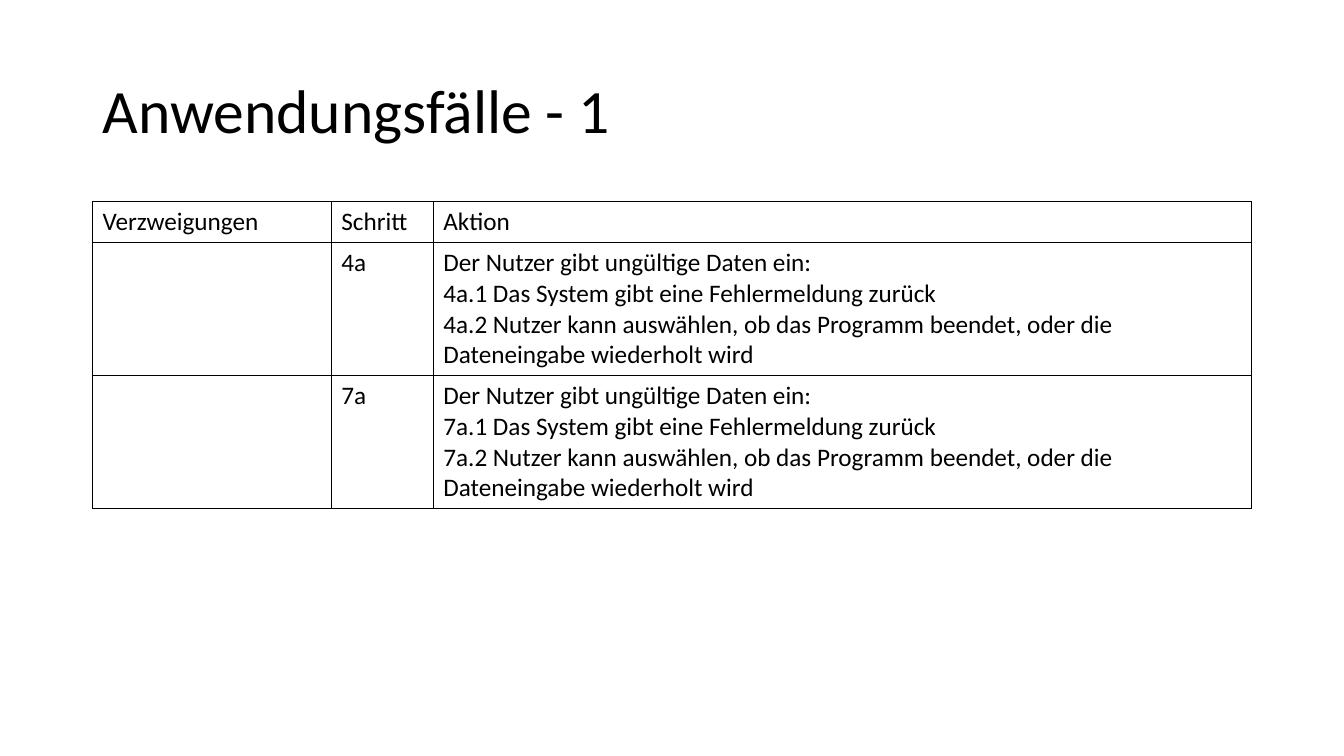
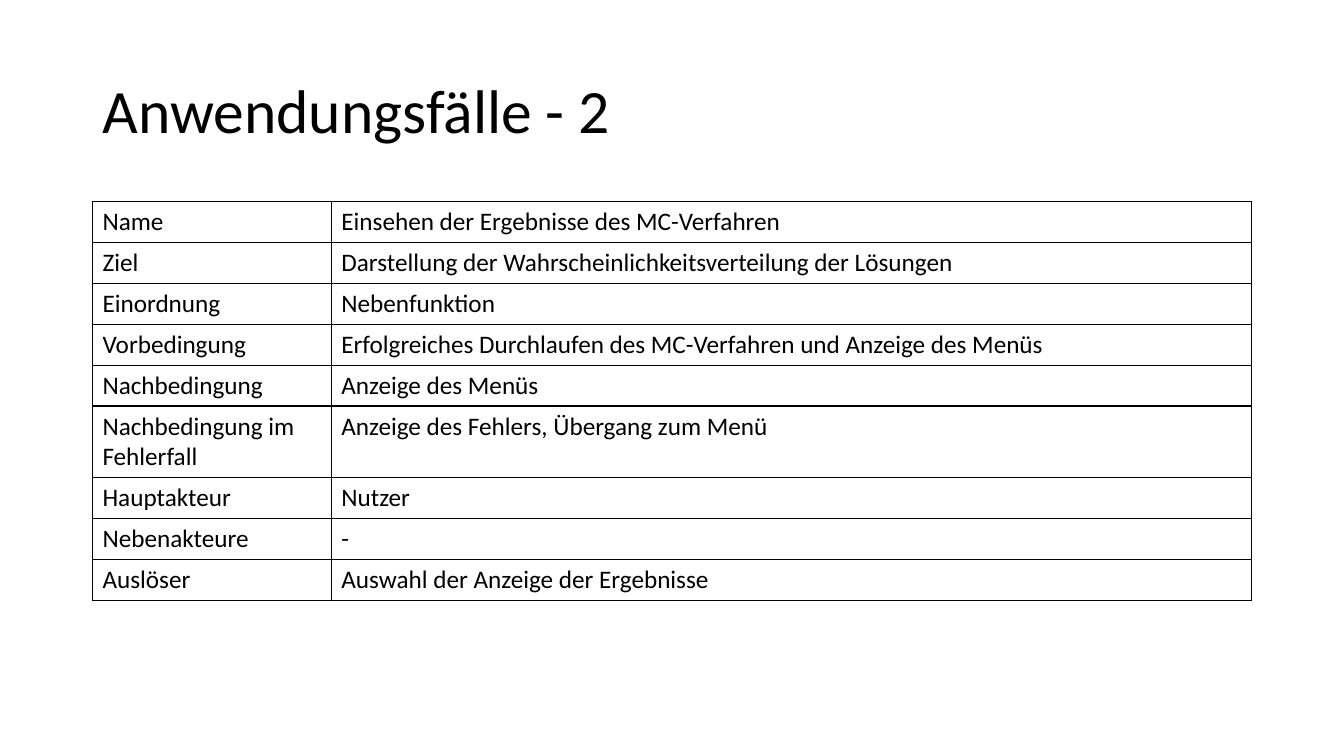
from lxml.etree import SubElement
from pptx import Presentation
from pptx.dml.color import RGBColor
from pptx.enum.text import MSO_ANCHOR, PP_ALIGN
from pptx.oxml.ns import qn
from pptx.util import Cm, Pt

FONT = "Calibri"
BLACK = "000000"
LEFT, WIDTH = 2.33, 29.21
TITLE_BOX = (LEFT, 1.01, WIDTH, 3.68)
TABLE_TOP = 5.08
ROW_HEIGHT = 1.03
LABEL_WIDTH, STEP_WIDTH = 6.02, 2.57

BRANCH_COLUMNS = [LABEL_WIDTH, STEP_WIDTH, WIDTH - LABEL_WIDTH - STEP_WIDTH]
USE_CASE_COLUMNS = [LABEL_WIDTH, WIDTH - LABEL_WIDTH]

USE_CASE = [
    ("Name", "Einsehen der Ergebnisse des MC-Verfahren"),
    ("Ziel", "Darstellung der Wahrscheinlichkeitsverteilung der Lösungen"),
    ("Einordnung", "Nebenfunktion"),
    ("Vorbedingung", "Erfolgreiches Durchlaufen des MC-Verfahren und Anzeige des Menüs"),
    ("Nachbedingung", "Anzeige des Menüs"),
    ("Nachbedingung im Fehlerfall", "Anzeige des Fehlers, Übergang zum Menü"),
    ("Hauptakteur", "Nutzer"),
    ("Nebenakteure", "-"),
    ("Auslöser", "Auswahl der Anzeige der Ergebnisse"),
]


def color(hex_value):
    return RGBColor.from_string(hex_value)


def style_paragraph(paragraph, size):
    paragraph.alignment = PP_ALIGN.LEFT
    paragraph.font.name = FONT
    paragraph.font.size = Pt(size)
    paragraph.font.color.rgb = color(BLACK)


def branch_row(step):
    """Row for invalid input at one step of the use case."""
    action = "\n".join([
        "Der Nutzer gibt ungültige Daten ein:",
        f"{step}.1 Das System gibt eine Fehlermeldung zurück",
        f"{step}.2 Nutzer kann auswählen, ob das Programm beendet, "
        "oder die Dateneingabe wiederholt wird",
    ])
    return "", step, action


def add_title(slide, text, box):
    title = slide.shapes.title
    title.left, title.top, title.width, title.height = map(Cm, box)
    frame = title.text_frame
    frame.text = text
    frame.vertical_anchor = MSO_ANCHOR.MIDDLE
    heading = frame.paragraphs[0]
    heading.line_spacing = 0.9
    style_paragraph(heading, 44)


def add_borders(cell):
    properties = cell._tc.get_or_add_tcPr()
    for side in ("a:lnL", "a:lnR", "a:lnT", "a:lnB"):
        line = SubElement(properties, qn(side), w=str(Pt(1)))
        fill = SubElement(line, qn("a:solidFill"))
        SubElement(fill, qn("a:srgbClr"), val=BLACK)


def add_grid(slide, rows, column_widths, left, top):
    """Plain bordered table; rows grow with their text."""
    table = slide.shapes.add_table(
        len(rows), len(column_widths), Cm(left), Cm(top),
        Cm(sum(column_widths)), Cm(ROW_HEIGHT * len(rows))).table
    table.first_row = table.horz_banding = False
    for column, width in zip(table.columns, column_widths):
        column.width = Cm(width)
    for row, texts in zip(table.rows, rows):
        row.height = Cm(ROW_HEIGHT)
        for cell, text in zip(row.cells, texts):
            add_borders(cell)
            cell.fill.background()
            cell.text = text
            for paragraph in cell.text_frame.paragraphs:
                style_paragraph(paragraph, 18)


def add_use_case_slide(presentation, number, rows, column_widths):
    slide = presentation.slides.add_slide(presentation.slide_layouts[5])
    add_title(slide, f"Anwendungsfälle - {number}", TITLE_BOX)
    add_grid(slide, rows, column_widths, LEFT, TABLE_TOP)


def main():
    presentation = Presentation()
    presentation.slide_width, presentation.slide_height = Cm(33.87), Cm(19.05)

    # Branches of the first use case
    branches = [("Verzweigungen", "Schritt", "Aktion"),
                branch_row("4a"), branch_row("7a")]
    add_use_case_slide(presentation, 1, branches, BRANCH_COLUMNS)

    # Profile of the second use case
    add_use_case_slide(presentation, 2, USE_CASE, USE_CASE_COLUMNS)

    presentation.save("out.pptx")


if __name__ == "__main__":
    main()
